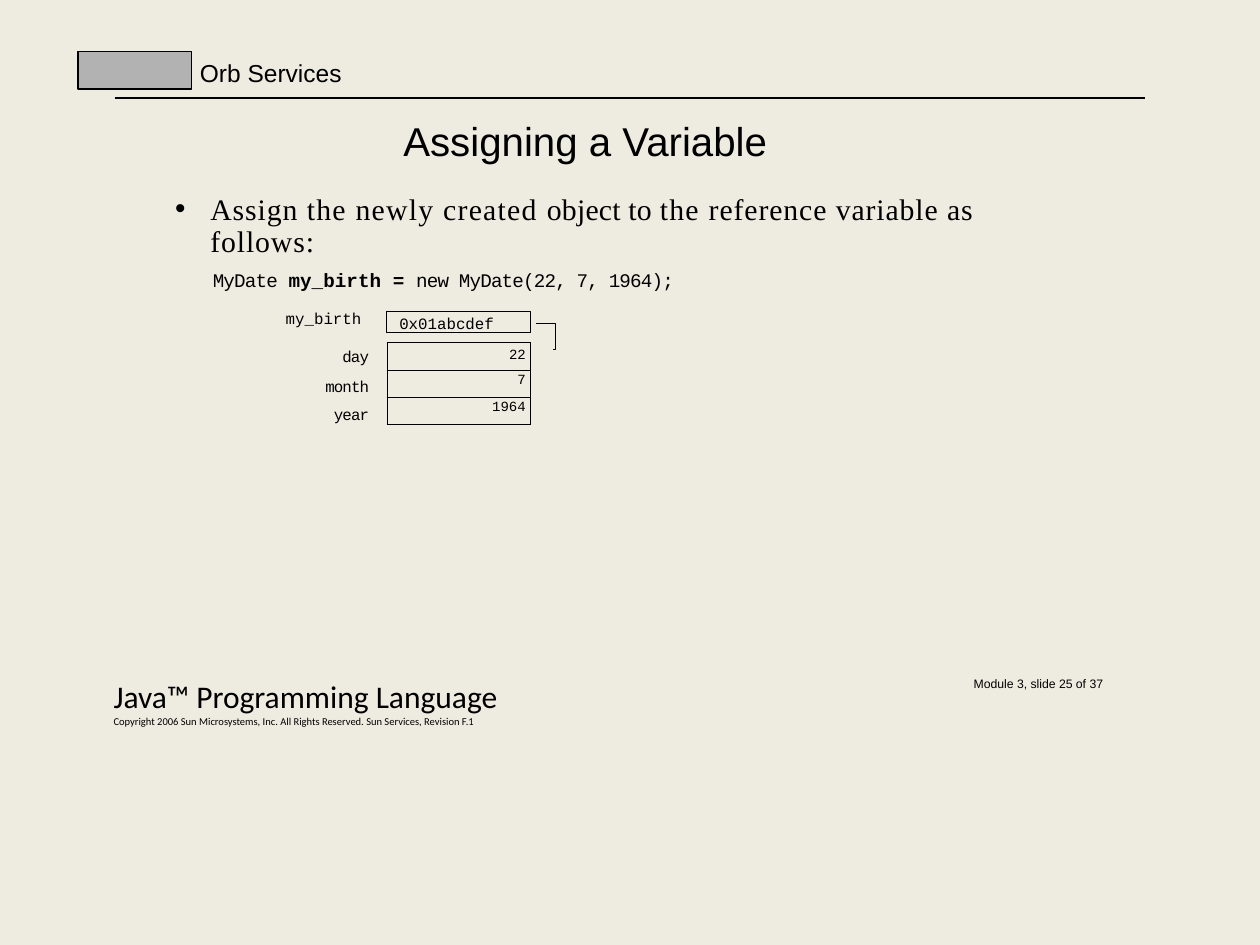
"""Build the slide on assigning a variable, with its memory diagram."""
from lxml.etree import SubElement
from pptx import Presentation
from pptx.dml.color import RGBColor
from pptx.enum.shapes import MSO_CONNECTOR, MSO_SHAPE
from pptx.enum.text import MSO_ANCHOR, MSO_AUTO_SIZE, PP_ALIGN
from pptx.oxml.ns import qn
from pptx.util import Cm, Pt

COLORS = {"bg": "EEECE1", "ink": "000000", "block": "B2B2B2"}
SANS, SERIF, MONO, FOOT = "Arial", "Times New Roman", "Courier New", "Calibri"
POINTER = [(11.15, 7.04), (11.2, 7.04), (11.2, 6.53), (10.8, 6.53)]


def rgb(name):
    return RGBColor.from_string(COLORS[name])


def write(p, text, font=SANS, size=9, spc=0, bold=False, align=PP_ALIGN.LEFT,
          before=0, line=1.0, left=0, hang=0, bullet=None):
    """Fill a paragraph from a string or a list of (text, format) runs."""
    p.alignment, p.space_before, p.line_spacing = align, Pt(before), line
    pPr = p._p.get_or_add_pPr()
    pPr.set("marL", str(Cm(left)))
    pPr.set("indent", str(-Cm(hang)))
    if bullet:
        SubElement(pPr, qn("a:buChar")).set("char", bullet)
    else:
        SubElement(pPr, qn("a:buNone"))
    for part, fmt in [(text, {})] if isinstance(text, str) else text:
        r = p.add_run()
        r.text = part
        r.font.name, r.font.size = font, Pt(size)
        r.font.bold = fmt.get("bold", bold)
        r.font.color.rgb = rgb("ink")
        r._r.get_or_add_rPr().set("spc", str(round(fmt.get("spc", spc) * 100)))


class Deck:
    """Holds the style and the current slide."""

    def __init__(self, prs, line=0.5):
        self.s = prs.slides.add_slide(prs.slide_layouts[1])
        self.line = line
        self.s.background.fill.solid()
        self.s.background.fill.fore_color.rgb = rgb("bg")

    def fill_frame(self, tf, paras, top):
        tf.word_wrap, tf.auto_size = True, MSO_AUTO_SIZE.NONE
        tf.vertical_anchor = MSO_ANCHOR.TOP
        tf.margin_left = tf.margin_right = tf.margin_bottom = 0
        tf.margin_top = Cm(top)
        for i, (text, fmt) in enumerate(paras):
            write(tf.add_paragraph() if i else tf.paragraphs[0], text, **fmt)

    def outline(self, sp, width):
        sp.line.color.rgb = rgb("ink")
        sp.line.width = Pt(width)

    def placeholder(self, idx, box, paras, top):
        sp = self.s.placeholders[idx]
        sp.left, sp.top, sp.width, sp.height = map(Cm, box)
        self.fill_frame(sp.text_frame, paras, top)

    def text(self, box, paras, top=0.03):
        sp = self.s.shapes.add_textbox(*map(Cm, box))
        self.fill_frame(sp.text_frame, paras, top)

    def box(self, box, paras=(), top=0, fill=None, width=None):
        sp = self.s.shapes.add_shape(MSO_SHAPE.RECTANGLE, *map(Cm, box))
        sp.shadow.inherit = False
        if fill:
            sp.fill.solid()
            sp.fill.fore_color.rgb = rgb(fill)
        else:
            sp.fill.background()
        self.outline(sp, width or self.line)
        self.fill_frame(sp.text_frame, paras, top)

    def rule(self, x1, y1, x2, y2):
        sp = self.s.shapes.add_connector(MSO_CONNECTOR.STRAIGHT, *map(Cm, (x1, y1, x2, y2)))
        self.outline(sp, 1)
        SubElement(sp._element.spPr, qn("a:effectLst"))

    def polyline(self, points):
        pts = [(Cm(x), Cm(y)) for x, y in points]
        fb = self.s.shapes.build_freeform(*pts[0])
        fb.add_line_segments(pts[1:], close=False)
        sp = fb.convert_to_shape()
        sp.shadow.inherit = False
        sp.fill.background()
        self.outline(sp, self.line)

    def column(self, box, values):
        table = self.s.shapes.add_table(len(values), 1, *map(Cm, box)).table
        table.first_row = table.horz_banding = False
        for i, value in enumerate(values):
            table.rows[i].height = Cm(box[3] / len(values))
            cell = table.cell(i, 0)
            cell.margin_left = cell.margin_bottom = 0
            cell.margin_right = Cm(0.1)
            cell.margin_top = Cm(0.06 if i else 0.09)
            write(cell.text_frame.paragraphs[0], value, MONO, 8, align=PP_ALIGN.RIGHT)
            tcPr = cell._tc.get_or_add_tcPr()
            for side in ("lnL", "lnR", "lnT", "lnB"):
                ln = SubElement(tcPr, qn(f"a:{side}"), w=str(Pt(self.line)))
                fill = SubElement(ln, qn("a:solidFill"))
                SubElement(fill, qn("a:srgbClr"), val=COLORS["ink"])
            cell.fill.background()


def main():
    prs = Presentation()
    prs.slide_width, prs.slide_height = Cm(25.4), Cm(19.05)
    deck = Deck(prs)

    deck.text((4.03, 1.14, 3.84, 0.64), [("Orb Services", dict(size=14))])
    deck.rule(2.31, 1.98, 23.09, 1.98)
    deck.box((1.57, 1.04, 2.29, 0.76), fill="block", width=1)

    deck.placeholder(0, (8.13, 2.31, 9.19, 1.02),
                     [("Assigning a Variable", dict(size=23))], 0.03)
    sentence = [("Assign ", dict(spc=0.5)), ("the newly created ", dict(spc=0.7)),
                ("object to ", dict(spc=0.1)), ("the ", dict(spc=0.7)),
                ("reference variable as follows:", dict(spc=0.5))]
    code = [("MyDate ", {}), ("my_birth = ", dict(bold=True, spc=0)),
            ("new MyDate(22, 7, 1964);", {})]
    deck.placeholder(1, (3.53, 3.81, 17.04, 2.03), [
        (sentence, dict(font=SERIF, size=17, line=Pt(18.5), left=0.71, hang=0.71, bullet="•")),
        (code, dict(font=MONO, size=11, spc=-0.5, before=5.3, left=0.76)),
    ], 0.1)

    deck.text((5.76, 6.2, 1.91, 0.41), [("my_birth", dict(font=MONO))])
    deck.box((7.8, 6.27, 2.9, 0.43), [("0x01abcdef", dict(font=MONO, left=0.25))], 0.05)
    deck.text((6.32, 6.96, 1.12, 1.55), [
        (label, dict(font=MONO, spc=-0.5, align=PP_ALIGN.RIGHT, before=before))
        for label, before in (("day", 0), ("month", 6.5), ("year", 5))])
    deck.column((7.8, 6.91, 2.9, 1.65), ["22", "7", "1964"])
    deck.polyline(POINTER)

    deck.text((2.29, 13.64, 10.03, 1.2), [
        ("Java™ Programming Language", dict(font=FOOT, size=18)),
        ("Copyright 2006 Sun Microsystems, Inc. All Rights Reserved. Sun Services, Revision F.1",
         dict(font=FOOT, size=6, before=0.5))], 0)
    deck.text((19.48, 13.64, 3.66, 0.3),
              [("Module 3, slide 25 of 37", dict(size=7, left=0.15))], 0)

    prs.save("out.pptx")


if __name__ == "__main__":
    main()
